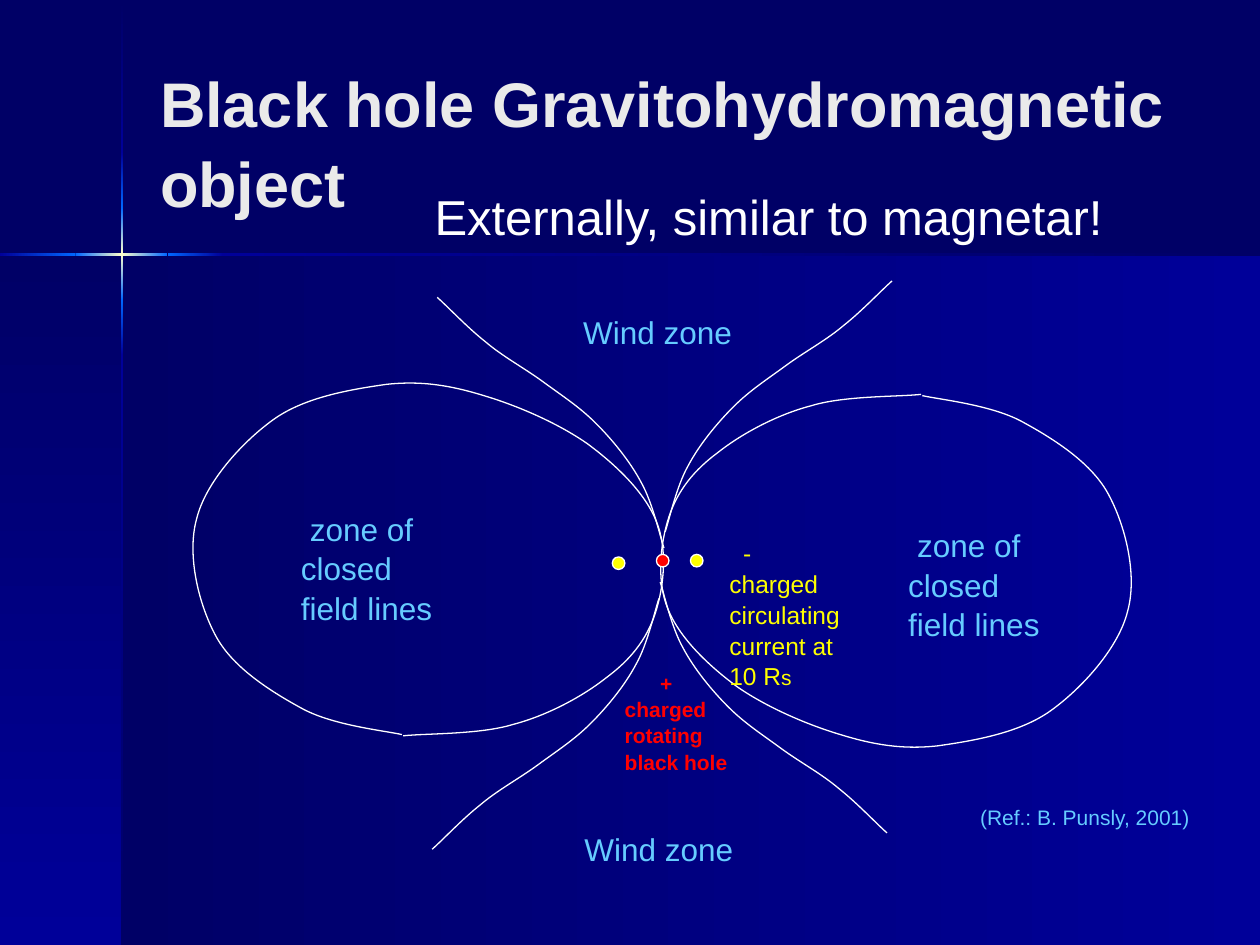
import pptx
import pptx.dml.color
import pptx.enum.shapes
import pptx.enum.text
import pptx.oxml.ns
import pptx.util
from lxml import etree

Inches = pptx.util.Inches
Pt = pptx.util.Pt
qn = pptx.oxml.ns.qn

COLORS = {
    "night": "000066", "navy": "000099", "beam": "0066FF", "glow": "FFFFCC",
    "title": "EAEAEA", "white": "FFFFFF", "sky": "66CCFF",
    "yellow": "FFFF00", "red": "FF0000",
}
FONT = "Arial"
CROSS_X, CROSS_Y, BEAM = 0.97, 2.02, 0.02

WIND_LINE = [
    (0, 1.99), (0.03, 1.9), (0.09, 1.63), (0.18, 1.47),
    (0.27, 1.3), (0.41, 1.13), (0.54, 1), (0.67, 0.87), (0.81, 0.78), (0.96, 0.67),
    (1.11, 0.56), (1.28, 0.47), (1.42, 0.35), (1.56, 0.24), (1.72, 0.07), (1.8, 0),
]
CLOSED_LINE = [
    (1.69, 2.83), (1.56, 2.8), (1.16, 2.76), (0.91, 2.63),
    (0.67, 2.5), (0.36, 2.31), (0.22, 2.06), (0.08, 1.81), (-0.02, 1.41), (0.06, 1.12),
    (0.13, 0.83), (0.42, 0.51), (0.67, 0.33), (0.92, 0.15), (1.29, 0.09), (1.57, 0.05),
    (1.85, 0.02), (2.08, 0.06), (2.34, 0.14), (2.61, 0.22), (2.93, 0.36), (3.16, 0.52),
    (3.39, 0.69), (3.62, 0.91), (3.71, 1.14), (3.8, 1.36), (3.77, 1.66), (3.7, 1.87),
    (3.63, 2.08), (3.5, 2.24), (3.31, 2.38), (3.12, 2.53), (2.84, 2.68), (2.57, 2.75),
    (2.31, 2.83), (1.88, 2.82), (1.7, 2.84),
]


def rgb(name):
    """Return the named deck colour."""
    return pptx.dml.color.RGBColor.from_string(COLORS[name])


def add_panel(page, box, names, downward):
    """Add a borderless rectangle with evenly spaced gradient stops."""
    panel = page.shapes.add_shape(
        pptx.enum.shapes.MSO_SHAPE.RECTANGLE, *map(Inches, box))
    panel.shadow.inherit = False
    panel.line.fill.background()
    panel.fill.gradient()
    panel.fill.gradient_angle = 270 if downward else 180
    stops = panel._element.spPr.find(qn("a:gradFill")).find(qn("a:gsLst"))
    for stop in list(stops):
        stops.remove(stop)
    for index, name in enumerate(names):
        stop = etree.SubElement(stops, qn("a:gs"), pos=str(100000 * index // (len(names) - 1)))
        etree.SubElement(stop, qn("a:srgbClr"), val=COLORS[name])


def draw_backdrop(page, box):
    """Fill the box with two shaded panels and the glowing cross."""
    left, top, width, height = box
    right, bottom = left + width, top + height
    across, down = left + CROSS_X, top + CROSS_Y
    add_panel(page, (across, down, right - across, bottom - down), ["navy", "night"], False)
    add_panel(page, (left, down, CROSS_X, bottom - down), ["night", "navy"], True)
    upright = [
        (top, 1.21, ["night", "navy"]), (2.82, bottom, ["navy", "night"]),
        (2.38, 2.82, ["beam", "navy"]), (1.21, 1.65, ["navy", "beam"]),
        (1.65, 2.38, ["beam", "glow", "beam"]),
    ]
    for start, end, names in upright:
        add_panel(page, (across - BEAM / 2, start, BEAM, end - start), names, True)
    level = [
        (1.77, right, ["night", "navy"]), (left, 0.6, ["beam", "navy"]),
        (1.33, 1.77, ["navy", "beam"]), (0.6, 1.33, ["beam", "glow", "beam"]),
    ]
    for start, end, names in level:
        add_panel(page, (start, down - BEAM / 2, end - start, BEAM), names, False)


def draw_curve(page, points, box, flip_x=False, flip_y=False):
    """Draw Bezier points measured from the box corner, mirrored on request."""
    left, top, width, height = box
    placed = [
        (Inches(left + (width - x if flip_x else x)), Inches(top + (height - y if flip_y else y)))
        for x, y in points
    ]
    builder = page.shapes.build_freeform(*placed[0], scale=1.0)
    builder.add_line_segments(placed[1:], close=False)
    curve = builder.convert_to_shape()
    curve.shadow.inherit = False
    curve.fill.background()
    curve.line.color.rgb = rgb("white")
    curve.line.width = Pt(0.75)
    outline = next(curve._element.iter(qn("a:path")))
    steps = outline.findall(qn("a:lnTo"))
    for index in range(0, len(steps), 3):
        bend = etree.SubElement(outline, qn("a:cubicBezTo"))
        for step in steps[index:index + 3]:
            bend.append(step[0])
            outline.remove(step)


def draw_field(page, box):
    """Draw the wind lines, the closed lines and the charges in the box."""
    left, top, _, _ = box
    wind = [
        (1.97, 0.13, True, False), (3.78, 0, False, False),
        (1.93, 2.52, True, True), (3.74, 2.39, False, True),
    ]
    for x, y, flip_x, flip_y in wind:
        draw_curve(page, WIND_LINE, (left + x, top + y, 1.8, 1.99), flip_x, flip_y)
    for x, y, turned in [(0, 0.77, False), (3.71, 0.9, True)]:
        draw_curve(page, CLOSED_LINE, (left + x, top + y, 3.8, 2.84), turned, turned)
    for x, y, name in [(3.36, 2.19, "yellow"), (3.98, 2.17, "yellow"), (3.71, 2.17, "red")]:
        dot = page.shapes.add_shape(
            pptx.enum.shapes.MSO_SHAPE.OVAL,
            Inches(left + x), Inches(top + y), Inches(0.1), Inches(0.1))
        dot.shadow.inherit = False
        dot.fill.solid()
        dot.fill.fore_color.rgb = rgb(name)
        dot.line.color.rgb = rgb("white")
        dot.line.width = Pt(0.75)


def format_text(frame, text, size, color, bold=False, indent=0):
    """Write one left-aligned paragraph and return it."""
    frame.word_wrap = True
    para = frame.paragraphs[0]
    para.text = text
    para.alignment = pptx.enum.text.PP_ALIGN.LEFT
    para.line_spacing = 1.05
    if indent:
        para._p.get_or_add_pPr().set("indent", str(Inches(indent)))
    para.font.name = FONT
    para.font.size = Pt(size)
    para.font.bold = bold
    para.font.color.rgb = rgb(color)
    return para


def add_label(page, box, text, size, color, bold=False, indent=0):
    """Add a text box and return it."""
    label = page.shapes.add_textbox(*map(Inches, box))
    format_text(label.text_frame, text, size, color, bold, indent)
    return label


def place_title(page, box):
    """Move the title placeholder to the box, in front of the backdrop."""
    title = page.shapes.title
    page.shapes._spTree.append(title._element)
    title.left, title.top, title.width, title.height = map(Inches, box)
    title.text_frame.vertical_anchor = pptx.enum.text.MSO_ANCHOR.MIDDLE
    format_text(title.text_frame, "Black hole Gravitohydromagnetic object", 36, "title", True)


def label_field(page, box):
    """Name the zones and the charges in the box."""
    left, top, _, _ = box
    for x, y in [(3.03, 0.19), (3.04, 4.29)]:
        add_label(page, (left + x, top + y, 1.66, 0.4), "Wind zone", 18, "sky")
    for x, y in [(5.61, 1.88), (0.79, 1.75)]:
        add_label(page, (left + x, top + y, 1.42, 1),
                  "zone of\vclosed\vfield lines", 18, "sky", indent=0.07)
    current = add_label(page, (left + 4.19, top + 1.98, 1.48, 1.27),
                        "-\vcharged circulating current at\v10 R", 14, "yellow", indent=0.11)
    span = current.text_frame.paragraphs[0].add_run()
    span.text = "s"
    span.font.size = Pt(12)
    add_label(page, (left + 3.36, top + 3.03, 1.22, 0.9),
              "+\vcharged rotating black hole", 12, "red", True, 0.28)
    add_label(page, (left + 6.18, top + 4.1, 2.11, 0.3), "(Ref.: B. Punsly, 2001)", 12, "sky")


def main():
    """Build and save the one-page deck."""
    deck = pptx.Presentation()
    deck.slide_width, deck.slide_height = Inches(10), Inches(7.5)
    page = deck.slides.add_slide(deck.slide_layouts[5])
    page.background.fill.solid()
    page.background.fill.fore_color.rgb = rgb("night")
    draw_backdrop(page, (0, 0, 10, 7.5))
    place_title(page, (1.17, 0.33, 8.32, 1.57))
    subtitle = add_label(page, (3.35, 1.35, 6.78, 0.76),
                         "Externally, similar to magnetar!", 28, "white")
    subtitle.text_frame.margin_top = Inches(0.11)
    field = (1.5, 2.23, 7.5, 4.51)
    draw_field(page, field)
    label_field(page, field)
    deck.save("out.pptx")


if __name__ == "__main__":
    main()
